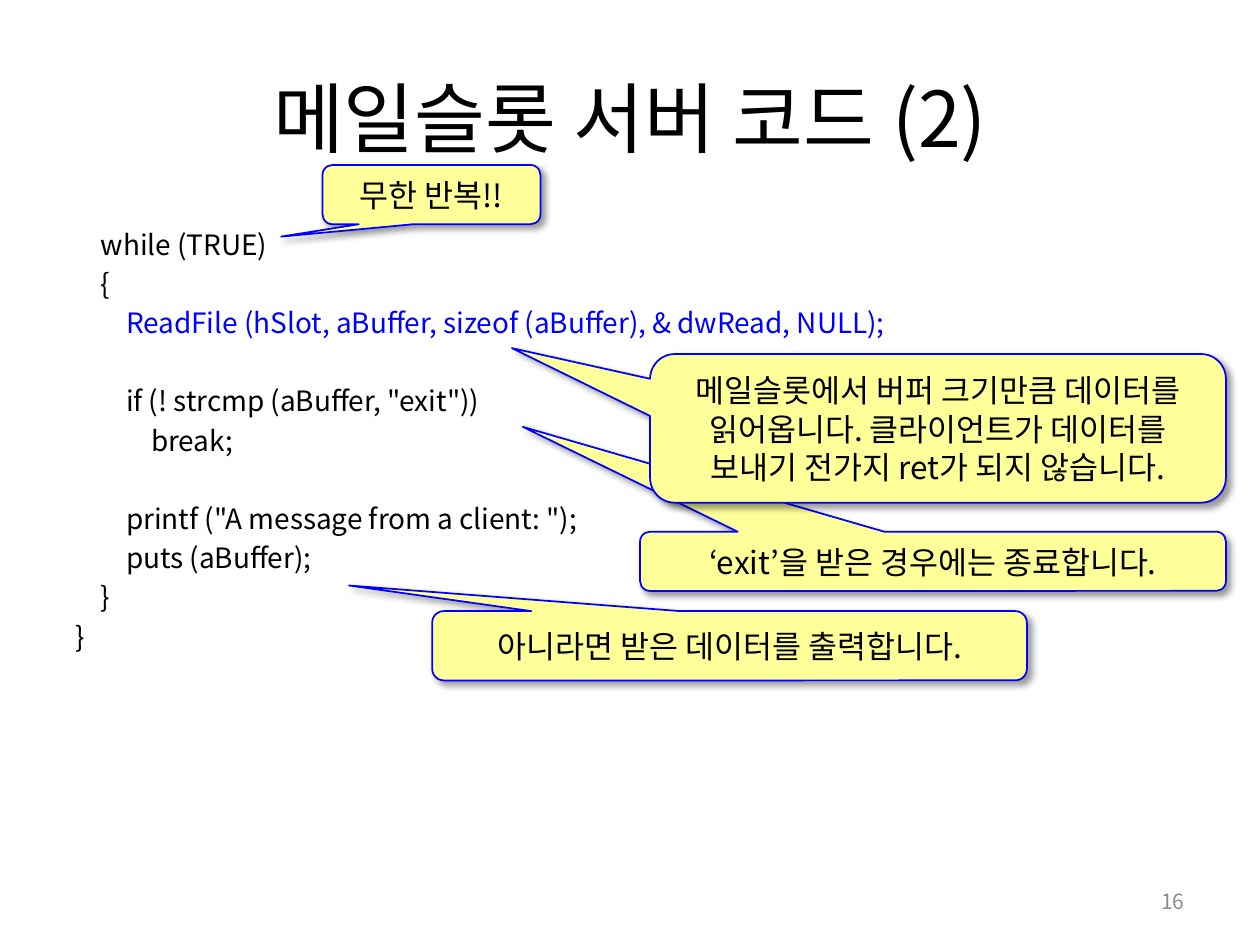
import pptx
import pptx.dml.color
import pptx.enum.shapes
import pptx.enum.text
import pptx.oxml
import pptx.oxml.ns
import pptx.util

Inches = pptx.util.Inches
Pt = pptx.util.Pt
ALIGN = pptx.enum.text.PP_ALIGN
ANCHOR = pptx.enum.text.MSO_ANCHOR

# (indent level, text, colour, follows an empty line)
CODE = [
    (1, "while (TRUE)", "000000", False),
    (1, "{", "000000", False),
    (2, "ReadFile (hSlot, aBuffer, sizeof (aBuffer), & dwRead, NULL);", "0000FF", False),
    (2, 'if (! strcmp (aBuffer, "exit"))', "000000", True),
    (3, "break;", "000000", False),
    (2, 'printf ("A message from a client: ");', "000000", True),
    (2, "puts (aBuffer);", "000000", False),
    (1, "}", "000000", False),
    (0, "}", "000000", False),
]

# (text, place, tip of the pointer relative to the centre)
CALLOUTS = [
    ("무한 반복!!", (2.56, 1.31, 1.73, 0.47), (-0.69, 0.71)),
    ("‘exit’을 받은 경우에는 종료합니다.", (5.08, 4.22, 4.65, 0.47), (-0.7, -2.27)),
    ("메일슬롯에서 버퍼 크기만큼 데이터를 읽어옵니다. 클라이언트가 데이터를 "
     "보내기 전가지 ret가 되지 않습니다.", (5.16, 2.81, 4.57, 1.18), (-0.74, -0.54)),
    ("아니라면 받은 데이터를 출력합니다.", (3.43, 4.85, 4.72, 0.55), (-0.64, -0.87)),
]


def color(value):
    return pptx.dml.color.RGBColor.from_string(value)


def add_xml(parent, tag, **attributes):
    child = pptx.oxml.parse_xml(f"<a:{tag} {pptx.oxml.ns.nsdecls('a')}/>")
    for name, value in attributes.items():
        child.set(name, value)
    parent.append(child)
    return child


class SlideBuilder:
    font = "Noto Sans CJK KR"
    fill = "FFFF99"
    line = "0000FF"
    code_indent = 0.2
    code_line = 19.4
    code_gap = 3

    def __init__(self, deck):
        self.page = deck.slides.add_slide(deck.slide_layouts[1])

    def place(self, box, left, top, width, height):
        places = {"left": left, "top": top, "width": width, "height": height}
        for name, value in places.items():
            setattr(box, name, Inches(value))

    def frame(self, box, anchor):
        settings = {"word_wrap": True, "vertical_anchor": anchor,
                    "auto_size": pptx.enum.text.MSO_AUTO_SIZE.NONE}
        for name, value in settings.items():
            setattr(box.text_frame, name, value)
        return box.text_frame

    def add_text(self, para, text, size, shade="000000", **formats):
        for name, value in formats.items():
            setattr(para, name, value)
        span = para.add_run()
        span.text = text
        for name, value in {"name": self.font, "size": Pt(size)}.items():
            setattr(span.font, name, value)
        span.font.color.rgb = color(shade)
        add_xml(span.font._element, "ea", typeface=self.font)

    def title(self, text):
        box = self.page.shapes.title
        self.place(box, 0.5, 0.3, 9, 1.25)
        para = self.frame(box, ANCHOR.MIDDLE).paragraphs[0]
        self.add_text(para, text, 44, alignment=ALIGN.CENTER)

    def code(self, lines):
        box = self.page.placeholders[1]
        self.place(box, 0.5, 1.75, 9, 4.95)
        frame = self.frame(box, ANCHOR.TOP)
        for number, (level, text, shade, after_gap) in enumerate(lines):
            para = frame.add_paragraph() if number else frame.paragraphs[0]
            before = self.code_gap
            if after_gap:
                before += self.code_line + self.code_gap
            self.add_text(para, text, 16, shade, space_before=Pt(before),
                          line_spacing=Pt(self.code_line))
            properties = para._p.get_or_add_pPr()
            properties.set("marL", str(Inches(level * self.code_indent)))
            properties.set("indent", "0")
            add_xml(properties, "buNone")

    def callout(self, text, place, tip):
        kind = pptx.enum.shapes.MSO_SHAPE.ROUNDED_RECTANGULAR_CALLOUT
        box = self.page.shapes.add_shape(kind, *map(Inches, place))
        for number, value in enumerate((*tip, 0.167)):
            box.adjustments[number] = value
        box.fill.solid()
        box.fill.fore_color.rgb = color(self.fill)
        box.line.color.rgb = color(self.line)
        box.line.width = Pt(1)
        self.drop_shadow(box)
        para = self.frame(box, ANCHOR.MIDDLE).paragraphs[0]
        self.add_text(para, text, 18, alignment=ALIGN.CENTER, line_spacing=Pt(21.9))

    def drop_shadow(self, box):
        box.shadow.inherit = False
        effects = box._element.spPr.find(pptx.oxml.ns.qn("a:effectLst"))
        shadow = add_xml(effects, "outerShdw", blurRad=str(Pt(4)), dist=str(Pt(3)),
                         dir=str(45 * 60000), algn="tl", rotWithShape="0")
        shade = add_xml(shadow, "srgbClr", val="000000")
        add_xml(shade, "alpha", val="40000")

    def page_number(self, text):
        box = self.page.shapes.add_textbox(*map(Inches, (7.17, 6.95, 2.33, 0.4)))
        para = self.frame(box, ANCHOR.MIDDLE).paragraphs[0]
        self.add_text(para, text, 12, "8C8C8C", alignment=ALIGN.RIGHT)


def main():
    deck = pptx.Presentation()
    deck.slide_width = Inches(10)
    deck.slide_height = Inches(7.5)
    builder = SlideBuilder(deck)
    builder.title("메일슬롯 서버 코드 (2)")
    builder.code(CODE)
    builder.page_number("16")
    for text, place, tip in CALLOUTS:
        builder.callout(text, place, tip)
    deck.save("out.pptx")


if __name__ == "__main__":
    main()
